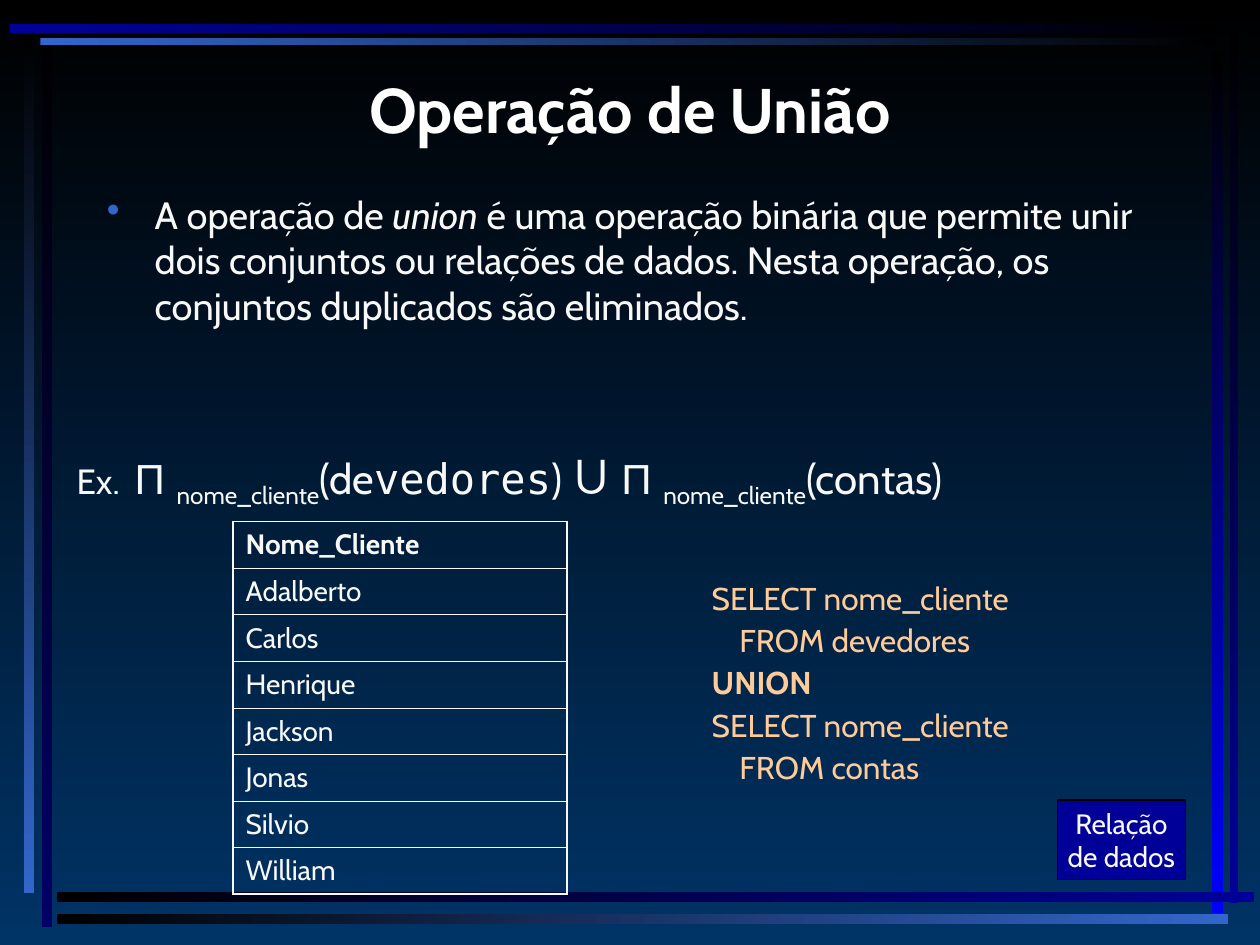
import lxml.etree
import pptx
import pptx.dml.color
import pptx.enum.shapes
import pptx.enum.text
import pptx.oxml
import pptx.oxml.ns
import pptx.util
from pptx.util import Inches

PALE = "F8F8F8"
BLACK = "000000"
NAVY = "000099"
SKY = "3366CC"
PEACH = "FFCC99"
ALIGN = pptx.enum.text.PP_ALIGN
ANCHOR = pptx.enum.text.MSO_ANCHOR


def color(hex_value):
    return pptx.dml.color.RGBColor.from_string(hex_value)


def add_child(parent, tag, **attributes):
    child = lxml.etree.SubElement(parent, pptx.oxml.ns.qn(tag))
    for name, value in attributes.items():
        child.set(name, value)
    return child


def fill_gradient(fill, start, end, angle):
    fill.gradient()
    fill.gradient_angle = angle
    for stop, hex_value, position in zip(fill.gradient_stops, (start, end), (0, 1)):
        stop.color.rgb = color(hex_value)
        stop.position = position


def format_run(run, size, hex_value=PALE, font="Cabin", bold=False, italic=False):
    run.font.size = pptx.util.Pt(size)
    run.font.name = font
    run.font.bold = bold
    run.font.italic = italic
    run.font.color.rgb = color(hex_value)


def add_text_frame(slide, box):
    frame = slide.shapes.add_textbox(*map(Inches, box)).text_frame
    frame.word_wrap = True
    return frame


def add_bar(slide, box, start, end, angle):
    bar = slide.shapes.add_shape(
        pptx.enum.shapes.MSO_SHAPE.RECTANGLE, *map(Inches, box))
    bar.shadow.inherit = False
    bar.line.fill.background()
    fill_gradient(bar.fill, start, end, angle)


def add_frame_bars(slide, box):
    left, top, width, height = box
    right, bottom = left + width, top + height
    for x, y, thickness, length, hue in (
        (left + 0.33, top + 0.28, 0.08, 7.08, "000066"),
        (left + 0.19, top + 0.25, 0.08, 6.84, SKY),
        (right - 0.24, top + 0.24, 0.07, 6.93, NAVY),
        (right - 0.38, top + 0.42, 0.09, 6.83, "0000FF"),
    ):
        add_bar(slide, (x, y, thickness, length), BLACK, hue, 270)
    for x, y, length, thickness, start, end in (
        (left + 0.45, bottom - 0.42, 9.5, 0.08, BLACK, NAVY),
        (left + 0.45, bottom - 0.25, 9.3, 0.08, BLACK, SKY),
        (left + 0.32, top + 0.3, 9.32, 0.06, SKY, BLACK),
        (left + 0.08, top + 0.19, 9.56, 0.07, NAVY, BLACK),
    ):
        add_bar(slide, (x, y, length, thickness), start, end, 0)


def place_title(slide, box):
    title = slide.shapes.title
    title.left, title.top, title.width, title.height = map(Inches, box)
    frame = title.text_frame
    frame.text = "Operação de União"
    frame.auto_size = pptx.enum.text.MSO_AUTO_SIZE.NONE
    frame.vertical_anchor = ANCHOR.BOTTOM
    frame.paragraphs[0].alignment = ALIGN.CENTER
    format_run(frame.paragraphs[0].runs[0], 36, "FFFFFF", bold=True)


def add_definition(slide, box):
    paragraph = add_text_frame(slide, box).paragraphs[0]
    paragraph.space_before = pptx.util.Pt(7)
    properties = paragraph._p.get_or_add_pPr()
    properties.set("marL", str(Inches(0.38)))
    properties.set("indent", str(Inches(-0.38)))
    add_child(add_child(properties, "a:buClr"), "a:srgbClr", val=SKY)
    add_child(properties, "a:buChar", char="•")
    for text, italic in (
        ("A operação de ", False),
        ("union ", True),
        ("é uma operação binária que permite unir dois conjuntos ou relações "
         "de dados. Nesta operação, os conjuntos duplicados são eliminados.", False),
    ):
        run = paragraph.add_run()
        run.text = text
        format_run(run, 21.7, italic=italic)


def add_algebra_example(slide, box):
    paragraph = add_text_frame(slide, box).paragraphs[0]
    paragraph.line_spacing = 0.8
    paragraph.space_before = pptx.util.Pt(6)
    stops = add_child(paragraph._p.get_or_add_pPr(), "a:tabLst")
    add_child(stops, "a:tab", pos=str(Inches(0.46)), algn="l")
    projection = [("Π ", 24, "Arial", False), ("nome_cliente", 24, "Cabin", True)]
    parts = [
        ("Ex.\t", 20, "Cabin", False),
        *projection,
        ("(de", 24, "Cabin", False),
        ("vedores", 24, "DejaVu Sans Mono", False),
        (") ", 24, "Cabin", False),
        ("∪", 32, "Arial", False),
        (" ", 24, "Cabin", False),
        *projection,
        ("(contas)", 24, "Cabin", False),
    ]
    for text, size, font, subscript in parts:
        run = paragraph.add_run()
        run.text = text
        format_run(run, size, font=font)
        if subscript:
            run._r.get_or_add_rPr().set("baseline", "-25000")


def set_borders(cell, widths):
    properties = cell._tc.get_or_add_tcPr()
    for position, (tag, points) in enumerate(widths.items()):
        border = add_child(properties, tag, w=str(pptx.util.Pt(points)))
        add_child(add_child(border, "a:solidFill"), "a:srgbClr", val=PALE)
        properties.insert(position, border)


def add_client_table(slide, box):
    clients = ["Nome_Cliente", "Adalberto", "Carlos", "Henrique",
               "Jackson", "Jonas", "Silvio", "William"]
    last = len(clients) - 1
    table = slide.shapes.add_table(len(clients), 1, *map(Inches, box)).table
    table.first_row = False
    table.horz_banding = False
    for index, client in enumerate(clients):
        cell = table.cell(index, 0)
        cell.text = client
        cell.fill.background()
        paragraph = cell.text_frame.paragraphs[0]
        paragraph.space_before = pptx.util.Pt(4)
        format_run(paragraph.runs[0], 16, bold=index == 0)
        set_borders(cell, {
            "a:lnL": 1.08,
            "a:lnR": 1.08,
            "a:lnT": 1.08 if index == 0 else 0.45,
            "a:lnB": 1.08 if index == last else 0.45,
        })


def add_relation_label(slide, box):
    label = slide.shapes.add_shape(
        pptx.enum.shapes.MSO_SHAPE.RECTANGLE, *map(Inches, box))
    label.shadow.inherit = False
    label.fill.solid()
    label.fill.fore_color.rgb = color(NAVY)
    label.line.color.rgb = color(BLACK)
    label.line.width = pptx.util.Pt(0.75)
    frame = label.text_frame
    frame.word_wrap = False
    frame.vertical_anchor = ANCHOR.MIDDLE
    frame.text = "Relação\vde dados"
    frame.paragraphs[0].alignment = ALIGN.CENTER
    for run in frame.paragraphs[0].runs:
        format_run(run, 16)


def add_query(slide, box):
    frame = add_text_frame(slide, box)
    frame.text = ("SELECT nome_cliente\nFROM devedores\nUNION\n"
                  "SELECT nome_cliente\nFROM contas")
    for paragraph in frame.paragraphs:
        paragraph.line_spacing = 0.6
        paragraph.space_before = pptx.util.Pt(11.2)
        if paragraph.text.startswith("FROM"):
            paragraph._p.get_or_add_pPr().set("marL", str(Inches(0.22)))
        format_run(paragraph.runs[0], 18, PEACH, bold=paragraph.text == "UNION")


def main():
    presentation = pptx.Presentation()
    presentation.slide_width = Inches(10)
    presentation.slide_height = Inches(7.5)
    slide = presentation.slides.add_slide(presentation.slide_layouts[5])
    fill_gradient(slide.background.fill, BLACK, "003366", 270)
    add_frame_bars(slide, (0, 0, 10, 7.5))
    place_title(slide, (0.75, 0.13, 8.5, 1.08))
    add_definition(slide, (0.75, 1.47, 8.5, 1.57))
    add_algebra_example(slide, (0.51, 3.51, 9.06, 0.65))
    add_client_table(slide, (1.85, 4.14, 2.65, 2.96))
    add_relation_label(slide, (8.39, 6.35, 1.02, 0.63))
    add_query(slide, (5.55, 4.65, 4.02, 1.96))
    presentation.save("out.pptx")


if __name__ == "__main__":
    main()
